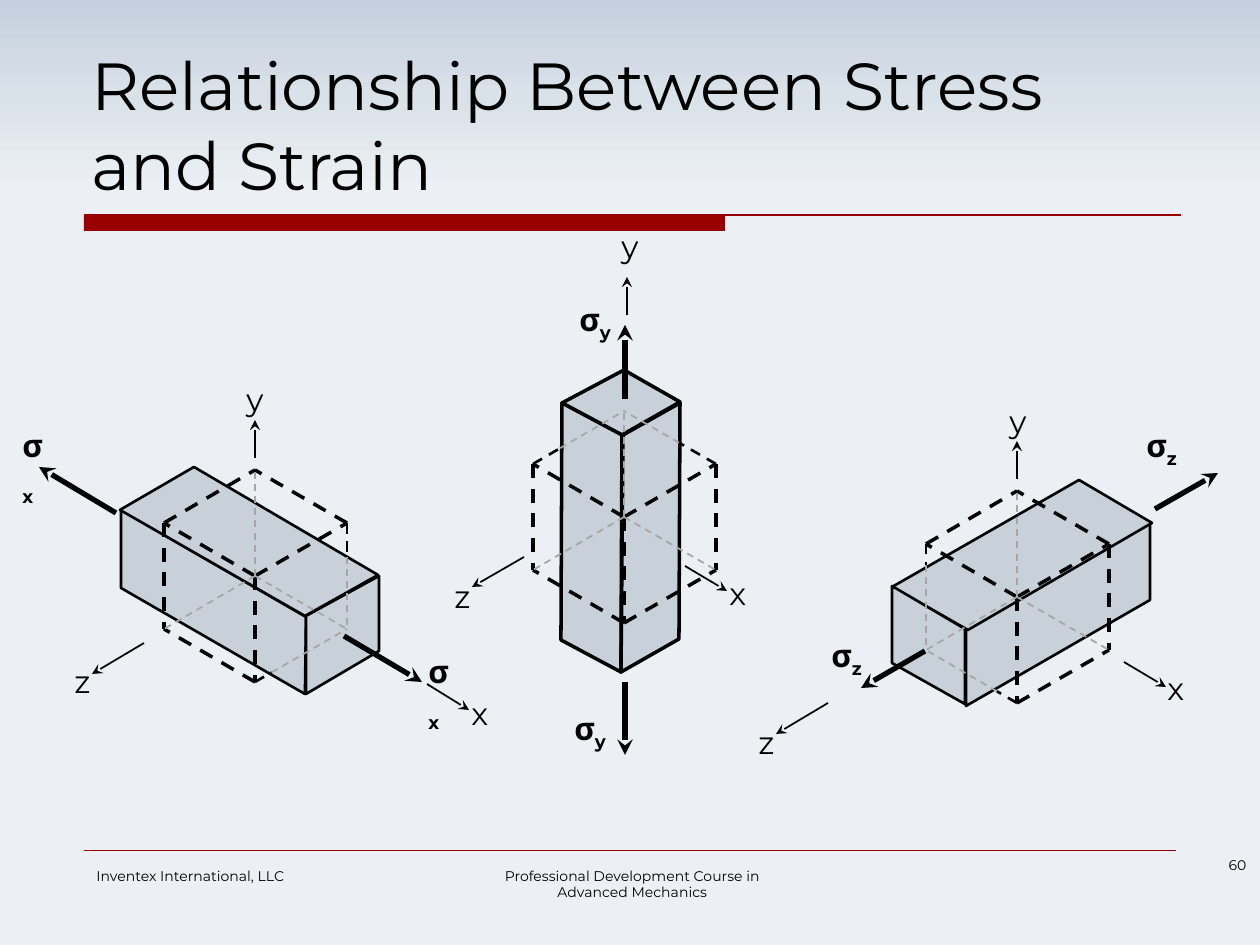
from lxml import etree
from pptx import Presentation
from pptx.dml.color import RGBColor
from pptx.enum.dml import MSO_LINE
from pptx.enum.shapes import MSO_CONNECTOR, MSO_SHAPE
from pptx.enum.text import MSO_ANCHOR, MSO_AUTO_SIZE, PP_ALIGN
from pptx.oxml.ns import qn
from pptx.util import Pt
from copy import deepcopy

PX = 914400 / 126
BLACK = RGBColor(0x00, 0x00, 0x00)
RED = RGBColor(0x99, 0x00, 0x00)
GREY = RGBColor(0xA6, 0xA6, 0xA6)
STEEL = RGBColor(0xC8, 0xD1, 0xDA)
SKY = [(0, RGBColor(0xC4, 0xD0, 0xDE)), (0.1, RGBColor(0xD9, 0xE1, 0xE9)),
       (0.2, RGBColor(0xEC, 0xF0, 0xF4))]
LEFT, CENTER, RIGHT = PP_ALIGN.LEFT, PP_ALIGN.CENTER, PP_ALIGN.RIGHT
DASH = MSO_LINE.DASH
FONT = "Montserrat"

prs = Presentation()
prs.slide_width, prs.slide_height = round(1260 * PX), round(945 * PX)
s = prs.slides.add_slide(prs.slide_layouts[5])


def add_line(start, end, color, width, dash=None, arrow=False):
    ends = [round(v * PX) for v in (*start, *end)]
    c = s.shapes.add_connector(MSO_CONNECTOR.STRAIGHT, *ends)
    c.line.color.rgb = color
    c.line.width = Pt(width)
    if dash:
        c.line.dash_style = dash
    if arrow:
        etree.SubElement(c.line._get_or_add_ln(), qn("a:tailEnd"), type="stealth")
    etree.SubElement(c._element.spPr, qn("a:effectLst"))


def add_text(box, text, size, align=LEFT, bold=False, sub="", wrap=True):
    tf = s.shapes.add_textbox(*[round(v * PX) for v in box]).text_frame
    tf.word_wrap = wrap
    tf.auto_size = MSO_AUTO_SIZE.NONE
    for i, words in enumerate(text.split("\n")):
        p = tf.paragraphs[0] if i == 0 else tf.add_paragraph()
        p.alignment = align
        for part in filter(None, (words, sub)):
            r = p.add_run()
            r.text = part
            for key, value in {"name": FONT, "size": Pt(size), "bold": bold}.items():
                setattr(r.font, key, value)
            r.font.color.rgb = BLACK
            if part == sub:
                r.font._element.set("baseline", "-25000")


# Background gradient, top to bottom
fill = s.background.fill
fill.gradient()
fill.gradient_angle = 270
stop_list = fill._fill._gradFill.gsLst
stop_list.append(deepcopy(stop_list[-1]))
for stop, (position, color) in zip(fill.gradient_stops, SKY):
    stop.position = position
    stop.color.rgb = color

# Title with its rule
title = s.shapes.title
for key, value in {"left": 79, "top": 42, "width": 1103, "height": 168}.items():
    setattr(title, key, round(value * PX))
tf = title.text_frame
tf.text = "Relationship Between Stress and Strain"
for key, value in {"word_wrap": True, "auto_size": MSO_AUTO_SIZE.NONE,
                   "vertical_anchor": MSO_ANCHOR.BOTTOM}.items():
    setattr(tf, key, value)
p = tf.paragraphs[0]
p.alignment = LEFT
for key, value in {"name": FONT, "size": Pt(38), "bold": False}.items():
    setattr(p.font, key, value)
p.font.color.rgb = BLACK

bar = s.shapes.add_shape(MSO_SHAPE.RECTANGLE, *[round(v * PX) for v in (84, 215, 641, 16)])
bar.shadow.inherit = False
bar.fill.solid()
bar.fill.fore_color.rgb = RED
bar.line.fill.background()
add_line((84, 215), (1181, 215), RED, 0.75)

# Footer
add_line((84, 850), (1176, 850), RED, 0.25)
add_text((84, 861, 262, 63), "Inventex International, LLC", 8)
add_text((480, 861, 305, 47), "Professional Development Course in\nAdvanced Mechanics", 8, CENTER)
add_text((997, 850, 262, 63), "60", 8, RIGHT)

# Stretched bars: outline width and three faces each
bars = [
    (1.5, [[(121, 588), (121, 510), (306, 617), (305, 694)],
           [(194, 467), (378, 575), (305, 616), (120, 510)],
           [(306, 694), (306, 616), (379, 576), (379, 651)]]),
    (2, [[(562, 403), (624, 370), (680, 402), (622, 435)],
         [(621, 672), (622, 435), (562, 403), (561, 640)],
         [(621, 672), (623, 435), (680, 403), (679, 639)]]),
    (1.5, [[(966, 629), (966, 706), (1150, 600), (1150, 523)],
           [(968, 630), (1152, 523), (1079, 480), (892, 587)],
           [(892, 586), (892, 663), (965, 704), (965, 629)]]),
]
for width, faces in bars:
    for face in faces:
        fb = s.shapes.build_freeform(*face[0], scale=PX)
        fb.add_line_segments(face[1:], close=True)
        sp = fb.convert_to_shape()
        sp.shadow.inherit = False
        sp.fill.solid()
        sp.fill.fore_color.rgb = STEEL
        sp.line.color.rgb = BLACK
        sp.line.width = Pt(width)

# Unstrained cubes: corners are offsets from the centre
corners = {"mid": (0, 0), "top": (0, -106), "bottom": (0, 106),
           "left_up": (-91, -53), "left_low": (-91, 53),
           "right_up": (92, -53), "right_low": (92, 53)}
edges = [("left_up", "left_low"), ("bottom", "left_low"), ("left_up", "top"),
         ("right_up", "top"), ("right_up", "right_low"), ("bottom", "right_low"),
         ("mid", "left_up"), ("mid", "right_up"), ("mid", "bottom"),
         ("mid", "left_low"), ("mid", "right_low"), ("mid", "top")]
hidden = dict.fromkeys(edges[-3:], 0)
# Centre, and the visible share of each edge that runs behind the bar
cubes = [
    ((255, 576), {("right_up", "right_low"): 0.32, ("bottom", "right_low"): 0.18}),
    ((624, 517), {("left_up", "top"): 0.3, ("right_up", "top"): 0.4}),
    ((1017, 597), {("left_up", "left_low"): 0.2, ("bottom", "left_low"): 0.22}),
]
for (cx, cy), partly in cubes:
    shares = hidden | partly
    for edge in edges:
        (x1, y1), (x2, y2) = [(cx + corners[k][0], cy + corners[k][1]) for k in edge]
        share = shares.get(edge, 1)
        split = (x1 + share * (x2 - x1), y1 + share * (y2 - y1))
        if share < 1:
            add_line(split, (x2, y2), GREY, 1, DASH)
        if share > 0:
            add_line((x1, y1), split, BLACK, 2 if share == 1 else 1.5, DASH)

# Axis arrows (thin) and stress arrows (thick)
arrows = {
    1: [((255, 458), (255, 420)), ((427, 684), (469, 710)), ((144, 643), (92, 674)),
        ((627, 315), (627, 277)), ((685, 566), (727, 591)), ((524, 557), (472, 587)),
        ((1017, 479), (1017, 441)), ((1124, 662), (1166, 687)), ((828, 703), (776, 734))],
    3: [((344, 636), (422, 682)), ((116, 513), (39, 467)),
        ((625, 399), (625, 325)), ((625, 682), (625, 755)),
        ((925, 651), (861, 688)), ((1155, 509), (1218, 473))],
}
for width, pairs in arrows.items():
    for start, end in pairs:
        add_line(start, end, BLACK, width, arrow=True)

# Axis letters
axis_labels = {"x": [(459, 688), (717, 568), (1155, 663)],
               "y": [(234, 374), (609, 221), (997, 396)],
               "z": [(62, 656), (442, 571), (746, 717)]}
for letter, places in axis_labels.items():
    for x, y in places:
        add_text((x, y, 45, 50), letter, 18)

# Stress labels; the narrow x boxes drop the subscript to a second line
stress_labels = {"x": (33, [(10, 420), (416, 646)]),
                 "y": (58, [(567, 294), (562, 703)]),
                 "z": (57, [(819, 630), (1134, 420)])}
for letter, (width, places) in stress_labels.items():
    for x, y in places:
        add_text((x, y, width, 50), "σ", 18, bold=True, sub=letter, wrap=letter == "x")

prs.save("out.pptx")
